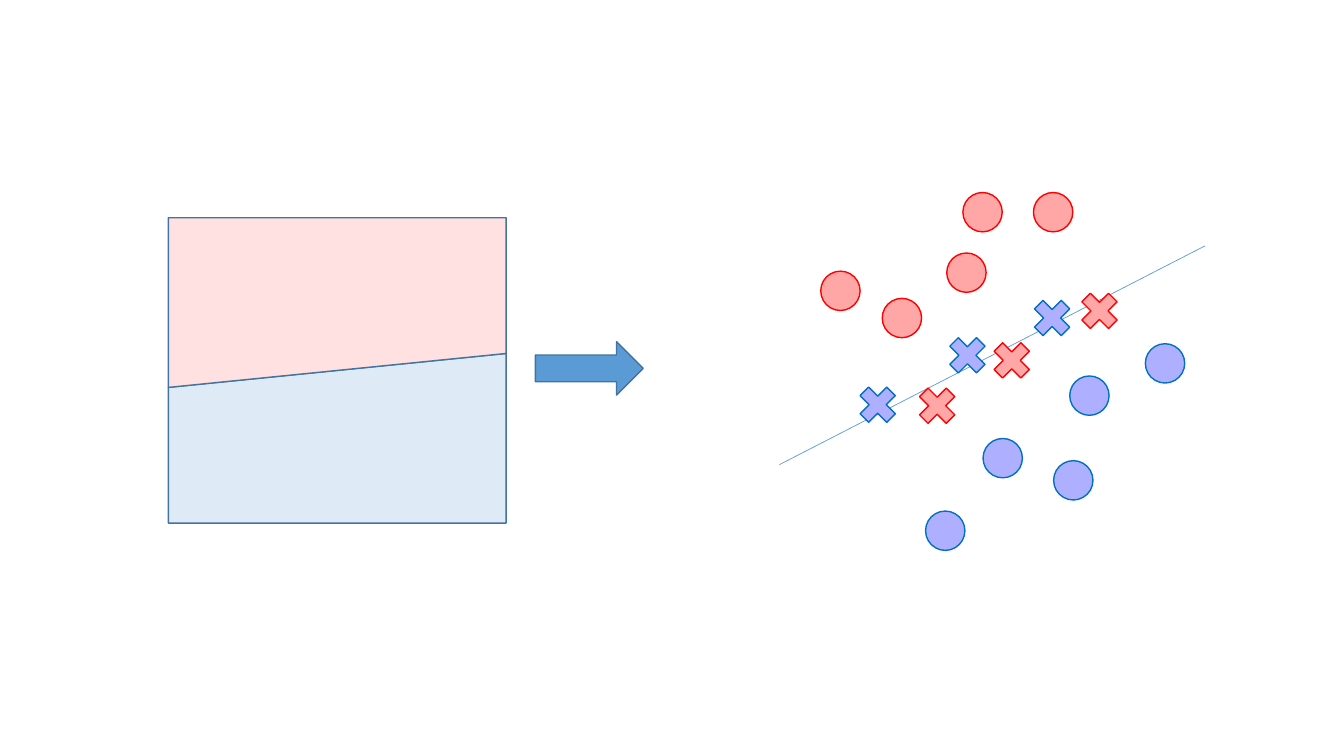
from pptx import Presentation
from pptx.dml.color import RGBColor
from pptx.enum import shapes as kinds
from pptx.oxml import ns
from pptx.util import Inches, Pt
from lxml import etree

SHAPE = kinds.MSO_SHAPE
RED = ("FFA7A7", "FF0000")
BLUE = ("AFAFFF", "0070C0")
OUTLINE = "43739E"
ACCENT = "5B9BD5"
CIRCLE_SIZE = 0.39
CROSS_SIZE = 0.51

# Offsets from the top left corner of the scatter box
MARKERS = [
    (SHAPE.OVAL, CIRCLE_SIZE, RED,
     [(0.41, 0.78), (1.02, 1.05), (2.52, 0), (1.82, 0), (1.66, 0.6)]),
    (SHAPE.OVAL, CIRCLE_SIZE, BLUE,
     [(2.72, 2.66), (2.02, 2.44), (2.88, 1.82), (1.45, 3.16), (3.63, 1.5)]),
    (SHAPE.MATH_MULTIPLY, CROSS_SIZE, RED,
     [(2.05, 1.41), (1.31, 1.86), (2.92, 0.92)]),
    (SHAPE.MATH_MULTIPLY, CROSS_SIZE, BLUE,
     [(2.45, 0.99), (1.61, 1.36), (0.72, 1.85)]),
]


def color(hex_string):
    return RGBColor.from_string(hex_string)


def add_filled_shape(slide, kind, left, top, width, height, fill, line):
    shape = slide.shapes.add_shape(
        kind, Inches(left), Inches(top), Inches(width), Inches(height))
    shape.shadow.inherit = False
    shape.fill.solid()
    shape.fill.fore_color.rgb = color(fill)
    shape.line.color.rgb = color(line)
    shape.line.width = Pt(1)
    return shape


def add_split_square(slide, left, top, width, height):
    """Two slanted halves; the slant, a fifth of a half, is shared."""
    half = height / 1.8
    add_filled_shape(slide, SHAPE.FLOWCHART_MANUAL_INPUT, left,
                     top + height - half, width, half, "DEEBF7", OUTLINE)
    upper = add_filled_shape(slide, SHAPE.FLOWCHART_MANUAL_INPUT, left, top,
                             width, half, "FFE1E1", OUTLINE)
    upper.rotation = 180


def add_arrow(slide, left, top, width, height):
    add_filled_shape(slide, SHAPE.RIGHT_ARROW, left, top, width, height,
                     ACCENT, OUTLINE)


def add_scatter(slide, left, top, width):
    # Decision boundary across the full width
    boundary = slide.shapes.add_connector(
        kinds.MSO_CONNECTOR.STRAIGHT, Inches(left), Inches(top + 2.7),
        Inches(left + width), Inches(top + 0.53))
    boundary.line.color.rgb = color(ACCENT)
    boundary.line.width = Pt(0.5)
    etree.SubElement(boundary._element.spPr, ns.qn("a:effectLst"))

    # Points of both classes, crosses on the wrong side
    for kind, size, (fill, line), offsets in MARKERS:
        for x, y in offsets:
            add_filled_shape(slide, kind, left + x, top + y, size, size,
                             fill, line)


presentation = Presentation()
presentation.slide_width = Inches(13.33)
presentation.slide_height = Inches(7.5)
slide = presentation.slides.add_slide(presentation.slide_layouts[6])

add_split_square(slide, 1.67, 2.16, 3.35, 3.03)
add_arrow(slide, 5.31, 3.39, 1.07, 0.53)
add_scatter(slide, 7.73, 1.91, 4.22)

presentation.save("out.pptx")
